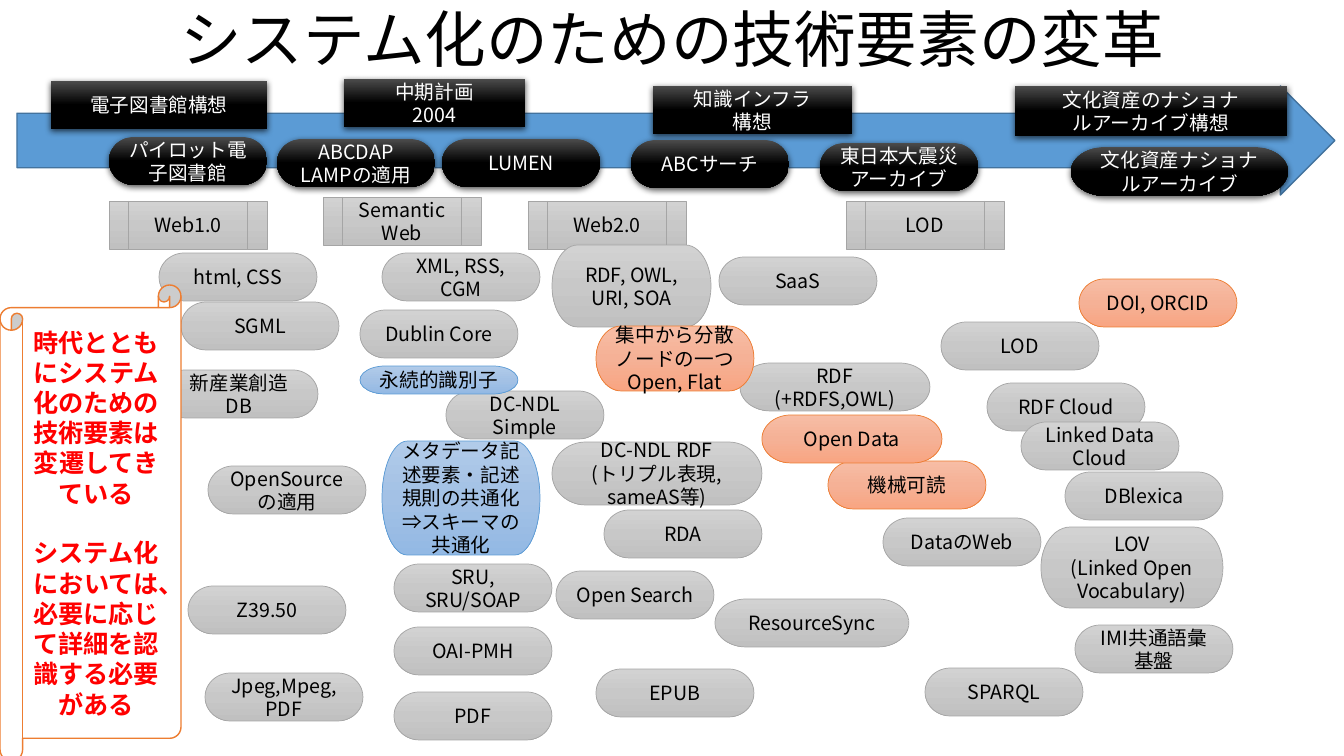
import copy

import pptx
import pptx.dml.color
import pptx.enum.shapes
import pptx.enum.text
import pptx.oxml
import pptx.oxml.ns
import pptx.util

RGBColor = pptx.dml.color.RGBColor
MSO_SHAPE = pptx.enum.shapes.MSO_SHAPE
PP_ALIGN = pptx.enum.text.PP_ALIGN
MSO_ANCHOR = pptx.enum.text.MSO_ANCHOR
qn = pptx.oxml.ns.qn

PX = 914400 / 100.8
SLIDE_WIDTH, SLIDE_HEIGHT = 1344, 756
FONT = "Noto Sans CJK JP"

BLACK = RGBColor(0x00, 0x00, 0x00)
WHITE = RGBColor(0xFF, 0xFF, 0xFF)
RED = RGBColor(0xFF, 0x00, 0x00)
ARROW_BLUE = RGBColor(0x5B, 0x9B, 0xD5)
ARROW_EDGE = RGBColor(0x43, 0x73, 0x9E)
ORANGE_EDGE = RGBColor(0xED, 0x7D, 0x31)
GREY_EDGE = RGBColor(0xA5, 0xA5, 0xA5)

# Each style: gradient from top to bottom, outline, text colour
DARK = ((RGBColor(0x4B, 0x4B, 0x4B), BLACK, BLACK), None, WHITE)
GREY = ((RGBColor(0xD2, 0xD2, 0xD2), RGBColor(0xC8, 0xC8, 0xC8),
         RGBColor(0xC0, 0xC0, 0xC0)), GREY_EDGE, BLACK)
ORANGE = ((RGBColor(0xF7, 0xBD, 0xA5), RGBColor(0xF5, 0xB1, 0x96),
           RGBColor(0xF8, 0xA5, 0x82)), ORANGE_EDGE, BLACK)
BLUE = ((RGBColor(0xB1, 0xCB, 0xE9), RGBColor(0xA3, 0xC1, 0xE5),
         RGBColor(0x93, 0xB9, 0xE4)), ARROW_BLUE, BLACK)

BOX = MSO_SHAPE.FLOWCHART_PREDEFINED_PROCESS
PILL = MSO_SHAPE.FLOWCHART_TERMINATOR
NODE_WIDTH, NODE_HEIGHT = 158, 48

# Groups of nodes: (text, left, top[, width[, height]])
PLANS = [
    ("電子図書館構想", 51, 81, 216),
    ("中期計画2004", 344, 79, 181),
    ("知識インフラ構想", 653, 86, 199),
    ("文化資産のナショナルアーカイブ構想", 1015, 86, 272, 50),
]
SYSTEMS = [
    ("パイロット電子図書館", 109, 137),
    ("ABCDAP\nLAMPの適用", 277, 139),
    ("LUMEN", 442, 139),
    ("ABCサーチ", 631, 140),
    ("東日本大震災アーカイブ", 820, 143),
    ("文化資産ナショナルアーカイブ", 1071, 147, 217, 49),
]
WEB_ERAS = [
    ("Web1.0", 109, 201),
    ("Semantic Web", 323, 197),
    ("Web2.0", 528, 201),
    ("LOD", 846, 201),
]
TECHNOLOGIES = [
    ("html, CSS", 159, 253),
    ("SGML", 181, 302),
    ("新産業創造DB", 160, 370),
    ("OpenSourceの適用", 208, 466),
    ("Z39.50", 188, 586),
    ("Jpeg,Mpeg, PDF", 205, 673),
    ("XML, RSS, CGM", 382, 253),
    ("Dublin Core", 360, 310),
    ("DC-NDL Simple", 446, 391),
    ("SRU,\nSRU/SOAP", 394, 564),
    ("OAI-PMH", 394, 627),
    ("PDF", 394, 692),
    ("RDF, OWL, URI, SOA", 552, 245, 159, 82),
    ("DC-NDL RDF\n(トリプル表現, sameAS等)", 552, 442, 210, 63),
    ("RDA", 604, 510),
    ("Open Search", 556, 571),
    ("EPUB", 596, 669),
    ("SaaS", 719, 257),
    ("RDF\n(+RDFS,OWL)", 740, 363, 190),
    ("ResourceSync", 715, 599, 194),
    ("DataのWeb", 883, 518),
    ("LOD", 941, 322),
    ("RDF Cloud", 987, 383),
    ("Linked Data Cloud", 1021, 422),
    ("DBlexica", 1065, 472),
    ("LOV\n(Linked Open Vocabulary)", 1041, 527, 182, 81),
    ("IMI共通語彙基盤", 1075, 625),
    ("SPARQL", 925, 668),
]
OPEN_TRENDS = [
    ("機械可読", 828, 461),
    ("集中から分散\nノードの一つ\nOpen, Flat", 596, 326, 158, 65),
    ("Open Data", 762, 415, 180),
    ("DOI, ORCID", 1079, 279),
]
COMMON_SCHEMAS = [
    ("メタデータ記述要素・記述規則の共通化⇒スキーマの共通化", 382, 441, 158, 114),
    ("永続的識別子", 360, 366, 158, 28),
]
MESSAGE = ("時代とともにシステム化のための技術要素は変遷してきている\n"
           "システム化においては、必要に応じて詳細を認識する必要がある")


def px(length):
    return pptx.util.Emu(round(length * PX))


def write_text(text_frame, text, size, color, bold=False, gap=0):
    text_frame.word_wrap = True
    text_frame.vertical_anchor = MSO_ANCHOR.MIDDLE
    for index, line in enumerate(text.split("\n")):
        paragraph = text_frame.add_paragraph() if index else text_frame.paragraphs[0]
        paragraph.alignment = PP_ALIGN.CENTER
        if index and gap:
            paragraph.space_before = pptx.util.Pt(gap)
        run = paragraph.add_run()
        run.text = line
        run.font.name = FONT
        run.font.size = pptx.util.Pt(size)
        run.font.bold = bold
        run.font.color.rgb = color
        # East Asian typeface follows the Latin one
        east_asian = pptx.oxml.parse_xml(
            f'<a:ea {pptx.oxml.ns.nsdecls("a")} typeface="{FONT}"/>')
        run.font._element.find(qn("a:latin")).addnext(east_asian)


def add_plain_shape(slide, kind, left, top, width, height, edge, edge_width):
    shape = slide.shapes.add_shape(kind, px(left), px(top), px(width), px(height))
    shape.shadow.inherit = False
    if edge is None:
        shape.line.fill.background()
    else:
        shape.line.color.rgb = edge
        shape.line.width = pptx.util.Pt(edge_width)
    return shape


def fill_gradient(shape, colors):
    shape.fill.gradient()
    shape.fill.gradient_angle = 270
    stop_list = shape._element.spPr.find(qn("a:gradFill")).find(qn("a:gsLst"))
    stop_list.append(copy.deepcopy(stop_list[-1]))
    for stop, position, color in zip(shape.fill.gradient_stops, (0, 0.5, 1), colors):
        stop.position = position
        stop.color.rgb = color


def add_drop_shadow(shape):
    shape._element.spPr.find(qn("a:effectLst")).append(pptx.oxml.parse_xml(
        f'<a:outerShdw {pptx.oxml.ns.nsdecls("a")} blurRad="57150" dist="19050" '
        'dir="5400000" algn="ctr" rotWithShape="0"><a:srgbClr val="000000">'
        '<a:alpha val="63000"/></a:srgbClr></a:outerShdw>'))


def add_node(slide, kind, style, text, left, top, width=NODE_WIDTH, height=NODE_HEIGHT):
    colors, edge, text_color = style
    shape = add_plain_shape(slide, kind, left, top, width, height, edge, 0.5)
    fill_gradient(shape, colors)
    if style is DARK:
        add_drop_shadow(shape)
    write_text(shape.text_frame, text, 14, text_color)


def format_title(slide, text):
    title = slide.shapes.title
    title.left, title.top, title.width, title.height = px(9), px(4), px(1327), px(77)
    write_text(title.text_frame, text, 44, BLACK)
    title.text_frame.auto_size = pptx.enum.text.MSO_AUTO_SIZE.NONE
    title.text_frame.paragraphs[0].line_spacing = 0.9


def main():
    presentation = pptx.Presentation()
    presentation.slide_width, presentation.slide_height = px(SLIDE_WIDTH), px(SLIDE_HEIGHT)
    slide = presentation.slides.add_slide(presentation.slide_layouts[5])
    format_title(slide, "システム化のための技術要素の変革")

    # Timeline arrow
    arrow = add_plain_shape(slide, MSO_SHAPE.RIGHT_ARROW, 17, 86, 1318, 109, ARROW_EDGE, 1)
    arrow.fill.solid()
    arrow.fill.fore_color.rgb = ARROW_BLUE

    # Nodes on and below the timeline
    for kind, style, nodes in (
            (BOX, DARK, PLANS), (PILL, DARK, SYSTEMS), (BOX, GREY, WEB_ERAS),
            (PILL, GREY, TECHNOLOGIES), (PILL, ORANGE, OPEN_TRENDS),
            (PILL, BLUE, COMMON_SCHEMAS)):
        for node in nodes:
            add_node(slide, kind, style, *node)

    # Message scroll
    scroll = add_plain_shape(slide, MSO_SHAPE.HORIZONTAL_SCROLL, 0, 285, 181, 476,
                             ORANGE_EDGE, 1)
    scroll.fill.solid()
    scroll.fill.fore_color.rgb = WHITE
    write_text(scroll.text_frame, MESSAGE, 18, RED, bold=True, gap=21)

    presentation.save("out.pptx")


if __name__ == "__main__":
    main()
